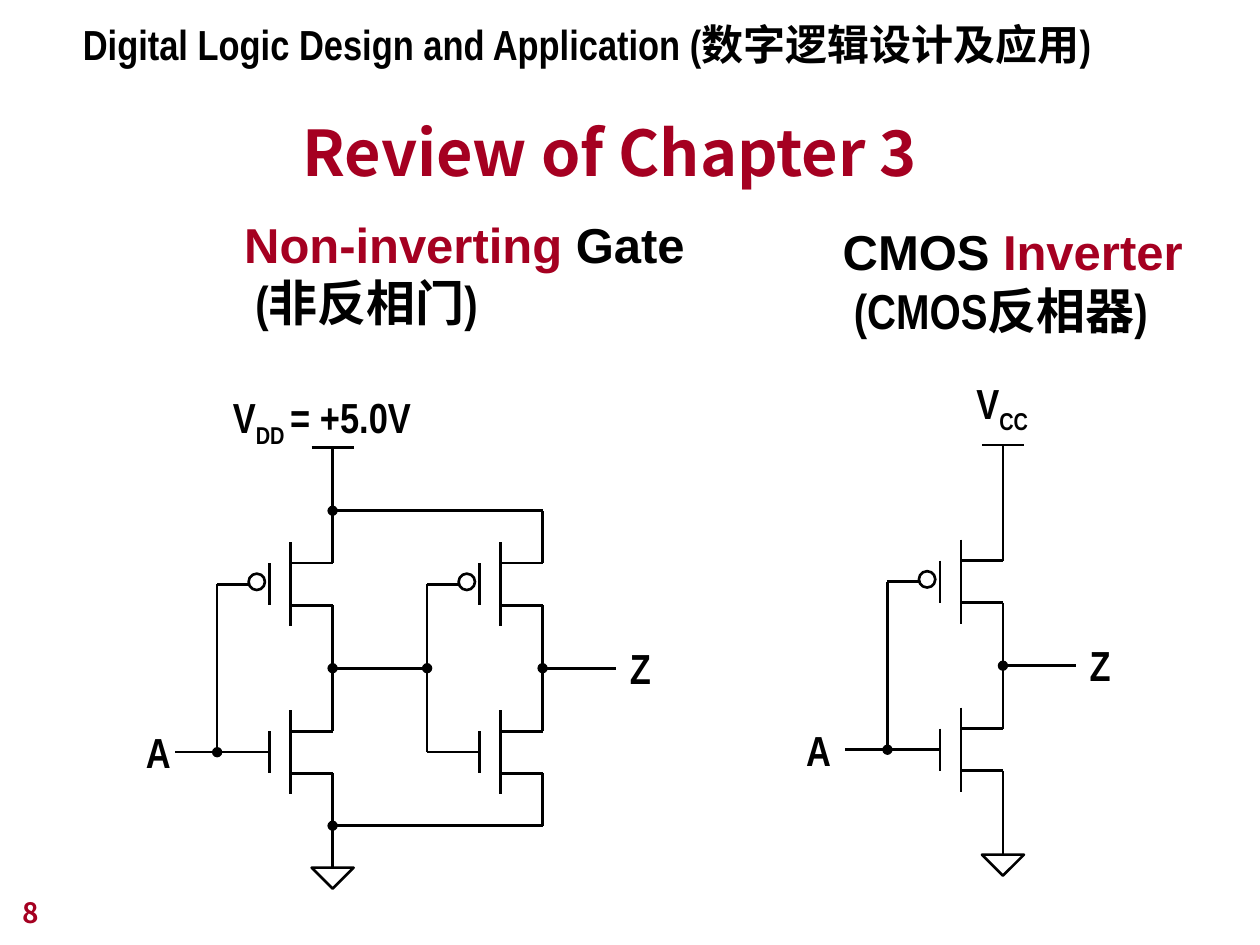
from lxml import etree
from pptx import Presentation
from pptx import util as u
from pptx.dml.color import RGBColor
from pptx.enum import shapes, text
from pptx.oxml.ns import qn

COLORS = {"ink": "000000", "accent": "A50021"}
NARROW, SANS, CJK = "Arial Narrow", "Arial", "Noto Sans CJK JP"
GRID = 1 / 6  # circuit grid step in inches
LINE_WIDTH = 1.5


def rgb(name):
    return RGBColor.from_string(COLORS[name])


def add_label(slide, left, top, width, height, paragraphs, size=24, font=NARROW,
              wrap=False, anchor="TOP", align="LEFT"):
    """Each paragraph is a list of (text, overrides) runs."""
    label = slide.shapes.add_textbox(*map(u.Inches, (left, top, width, height)))
    frame = label.text_frame
    frame.word_wrap = wrap
    if not wrap:  # the box grows with its text, so lines never break
        frame.auto_size = text.MSO_AUTO_SIZE.SHAPE_TO_FIT_TEXT
    frame.vertical_anchor = getattr(text.MSO_ANCHOR, anchor)
    for index, runs in enumerate(paragraphs):
        paragraph = frame.add_paragraph() if index else frame.paragraphs[0]
        paragraph.alignment = getattr(text.PP_ALIGN, align)
        for words, overrides in runs:
            style = {"color": "ink", "font": font, "baseline": None} | overrides
            run = paragraph.add_run()
            run.text = words
            formats = {"size": u.Pt(size), "bold": True, "name": style["font"]}
            for attribute, value in formats.items():
                setattr(run.font, attribute, value)
            run.font.color.rgb = rgb(style["color"])
            properties = run.font._element
            etree.SubElement(properties, qn("a:ea")).set("typeface", CJK)
            if style["baseline"]:
                properties.set("baseline", str(style["baseline"]))


def add_wire(slide, start, end, head=False, tail=False):
    """Straight wire; head and tail put a junction dot at start and end."""
    points = [u.Inches(value) for value in (*start, *end)]
    wire = slide.shapes.add_connector(shapes.MSO_CONNECTOR.STRAIGHT, *points)
    wire.line.width = u.Pt(LINE_WIDTH)
    wire.line.color.rgb = rgb("ink")
    for tag, dotted in (("a:headEnd", head), ("a:tailEnd", tail)):
        if dotted:
            etree.SubElement(wire.line._ln, qn(tag)).set("type", "oval")
    etree.SubElement(wire._element.spPr, qn("a:effectLst"))


def add_outline(slide, kind, left, top, width, height):
    outline = slide.shapes.add_shape(kind, *map(u.Inches, (left, top, width, height)))
    outline.shadow.inherit = False
    outline.fill.background()
    outline.line.color.rgb = rgb("ink")
    outline.line.width = u.Pt(LINE_WIDTH)
    return outline


def wire_drawer(slide, x, y):
    """Return a function that draws wires in grid steps from (x, y)."""
    def wire(x1, y1, x2, y2, **dots):
        add_wire(slide, (x + x1 * GRID, y + y1 * GRID),
                 (x + x2 * GRID, y + y2 * GRID), **dots)
    return wire


def add_inverter(slide, x, y, input_dot=True, output_end=3.5, output_tail=False):
    """PMOS over NMOS with joined gates; x is the drain, y the PMOS source."""
    wire = wire_drawer(slide, x, y)
    for top in (0, 8):  # PMOS, then NMOS
        wire(-3, top, -3, top + 2)
        wire(-2, top - 1, -2, top + 3)
        wire(-2, top, 0, top)
        wire(-2, top + 2, 0, top + 2)
    add_outline(slide, shapes.MSO_SHAPE.OVAL,
                x - 4 * GRID, y + 0.5 * GRID, 0.13, 0.13)
    wire(0, 2, 0, 8)
    wire(0, 5, output_end, 5, head=True, tail=output_tail)
    wire(-4, 1, -5.5, 1)
    wire(-5.5, 1, -5.5, 9, tail=input_dot)
    wire(-3, 9, -7.5 if input_dot else -5.5, 9)


def add_supply(slide, x, y, ground):
    """Supply bar above and ground symbol below the drain line."""
    wire = wire_drawer(slide, x, y)
    wire(0, 0, 0, -5.5)
    wire(-1, -5.5, 1, -5.5)
    wire(0, 10, 0, ground)
    triangle = add_outline(slide, shapes.MSO_SHAPE.ISOSCELES_TRIANGLE,
                           x - GRID, y + ground * GRID, 2 * GRID, GRID)
    triangle._element.spPr.xfrm.set("flipV", "1")


def add_terminals(slide, input_left, output_left, y):
    add_label(slide, input_left, y + 1.25, 0.39, 0.5, [[("A", {})]])
    add_label(slide, output_left, y + 0.58, 0.36, 0.5, [[("Z", {})]])


def main():
    presentation = Presentation()
    presentation.slide_width, presentation.slide_height = u.Inches(10), u.Inches(7.5)
    slide = presentation.slides.add_slide(presentation.slide_layouts[6])
    accent, narrow, subscript = {"color": "accent"}, {"font": NARROW}, {"baseline": -25000}

    # Course name, title and page number
    add_label(slide, 0.56, 0.1, 8.37, 0.5,
              [[("Digital Logic Design and Application (数字逻辑设计及应用)", {})]])
    add_label(slide, 0.59, 0.79, 8.5, 0.76, [[("Review of Chapter 3", accent)]],
              size=36, font=CJK, wrap=True, anchor="BOTTOM", align="CENTER")
    add_label(slide, 0.08, 6.92, 2.08, 0.5, [[("8", accent)]],
              size=16, font=CJK, wrap=True, anchor="BOTTOM")

    # Circuit headings
    add_label(slide, 1.84, 1.65, 3.7, 1.04,
              [[("Non-inverting ", accent), ("Gate", {})],
               [(" (非反相门)", narrow)]], size=28, font=SANS)
    add_label(slide, 6.59, 1.71, 2.9, 1.04,
              [[("CMOS", {}), (" Inverter", accent)],
               [(" (CMOS反相器)", narrow)]], size=28, font=SANS)

    # Non-inverting gate: two inverters in a row between shared rails
    gate_x, gate_y = 2.64, 4.47
    add_supply(slide, gate_x, gate_y, ground=14.5)
    add_inverter(slide, gate_x, gate_y, output_end=4.5, output_tail=True)
    add_inverter(slide, gate_x + 10 * GRID, gate_y, input_dot=False)
    rail = wire_drawer(slide, gate_x, gate_y)
    for rail_y, source_y in ((-2.5, 0), (12.5, 10)):
        rail(0, rail_y, 10, rail_y, head=True)
        rail(10, source_y, 10, rail_y)
    add_label(slide, 1.75, 3.06, 1.61, 0.56,
              [[("V", {}), ("DD ", subscript), ("= +5.0V", {})]])
    add_terminals(slide, 1.06, 4.9, gate_y)

    # CMOS inverter
    inverter_x, inverter_y = 7.96, 4.45
    add_supply(slide, inverter_x, inverter_y, ground=14)
    add_inverter(slide, inverter_x, inverter_y)
    add_label(slide, 7.65, 2.95, 0.61, 0.56, [[("V", {}), ("CC", subscript)]])
    add_terminals(slide, 6.3, 8.55, inverter_y)

    presentation.save("out.pptx")


if __name__ == "__main__":
    main()
